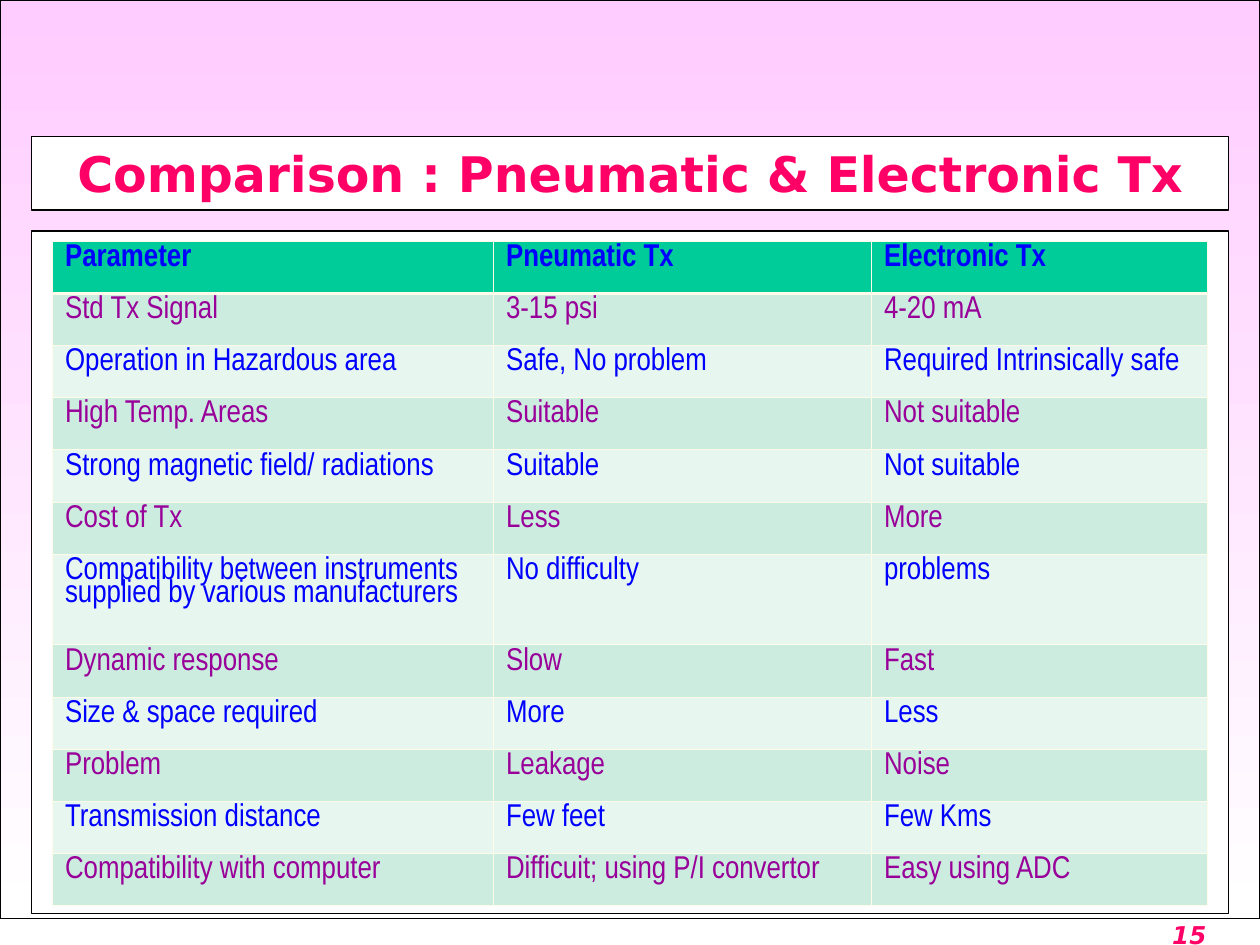
import pptx
import pptx.dml.color
import pptx.enum.shapes
import pptx.enum.text
import pptx.oxml.ns
import pptx.util
from lxml import etree

RGB = pptx.dml.color.RGBColor
WHITE, BLACK = RGB(255, 255, 255), RGB(0, 0, 0)
LILAC = RGB(0xFF, 0xCC, 0xFF)
PINK = RGB(0xFF, 0x00, 0x66)
BLUE = RGB(0x00, 0x00, 0xFF)
PURPLE = RGB(0x99, 0x00, 0x99)
GREEN = RGB(0x00, 0xCC, 0x99)
MINT = RGB(0xCB, 0xEC, 0xDE)
PALE = RGB(0xE7, 0xF6, 0xEF)
CREAM = RGB(0xFF, 0xFB, 0xEB)

# The slide is a grid of 120 columns by 90 rows
UNIT = pptx.util.Inches(10) // 120
COLS, ROWS = 120, 90
PAGE = (0, 0, COLS, 87.5)
TITLE = (3, 13, 114, 7)
PANEL = (3, 22, 114, 65)
NUMBER = (109.5, 86.4, 10.5, 4.8)

DATA = [
    ("Parameter", "Pneumatic Tx", "Electronic Tx"),
    ("Std Tx Signal", "3-15 psi", "4-20 mA"),
    ("Operation in Hazardous area", "Safe, No problem", "Required Intrinsically safe"),
    ("High Temp. Areas", "Suitable", "Not suitable"),
    ("Strong magnetic field/ radiations", "Suitable", "Not suitable"),
    ("Cost of Tx", "Less", "More"),
    ("Compatibility between instruments supplied by various manufacturers",
     "No difficulty", "problems"),
    ("Dynamic response", "Slow", "Fast"),
    ("Size & space required", "More", "Less"),
    ("Problem", "Leakage", "Noise"),
    ("Transmission distance", "Few feet", "Few Kms"),
    ("Compatibility with computer", "Difficuit; using P/I convertor", "Easy using ADC"),
]
WIDTHS = (42, 36, 32)
TALL, TALL_ROW = 8.65, 6


def grid(*box):
    return [round(n * UNIT) for n in box]


def style(font, color, **looks):
    for name, value in looks.items():
        setattr(font, name, value)
    font.color.rgb = color


def frame(slide, box):
    """White rectangle with a thin black outline."""
    shape = slide.shapes.add_shape(
        pptx.enum.shapes.MSO_SHAPE.RECTANGLE, *grid(*box))
    shape.shadow.inherit = False
    shape.fill.solid()
    shape.fill.fore_color.rgb = WHITE
    shape.line.color.rgb = BLACK
    shape.line.width = pptx.util.Pt(0.75)
    return shape


def backdrop(slide, box):
    fill = frame(slide, box).fill
    fill.gradient()
    fill.gradient_angle = 270
    for stop, color in zip(fill.gradient_stops, (LILAC, WHITE)):
        stop.color.rgb = color


def number(slide, box):
    text = slide.shapes.add_textbox(*grid(*box)).text_frame
    text.word_wrap = False
    for part, size, color, bold in ((" ", 18, BLACK, False), ("15", 14, PINK, True)):
        run = text.paragraphs[0].add_run()
        run.text = part
        style(run.font, color, name="DejaVu Sans", size=pptx.util.Pt(size),
              bold=bold, italic=True)


def title(slide, box):
    text = frame(slide, box).text_frame
    text.vertical_anchor = pptx.enum.text.MSO_ANCHOR.MIDDLE
    line = text.paragraphs[0]
    line.alignment = pptx.enum.text.PP_ALIGN.CENTER
    run = line.add_run()
    run.text = "Comparison : Pneumatic & Electronic Tx"
    style(run.font, PINK, name="DejaVu Sans", size=pptx.util.Pt(28), bold=True)


def border(cell, row):
    """Cream rules, thicker between the header and the body."""
    props = cell._tc.get_or_add_tcPr()
    qn = pptx.oxml.ns.qn
    for side in "LRTB":
        thick = (row, side) in ((0, "B"), (1, "T"))
        width = pptx.util.Pt(1.47 if thick else 0.45)
        line = etree.SubElement(props, qn("a:ln" + side), w=str(width))
        fill = etree.SubElement(line, qn("a:solidFill"))
        etree.SubElement(fill, qn("a:srgbClr"), val=str(CREAM))


def table(slide, box):
    left, top, wide, high = box
    inner = (left + 2, top + 1, wide - 4, high - 1.75)
    grid_table = slide.shapes.add_table(
        len(DATA), len(WIDTHS), *grid(*inner)).table
    for col, width in zip(grid_table.columns, WIDTHS):
        col.width = round(width * UNIT)
    short = (inner[3] - TALL) / (len(DATA) - 1)
    for r, words in enumerate(DATA):
        grid_table.rows[r].height = round((TALL if r == TALL_ROW else short) * UNIT)
        shade = GREEN if r == 0 else MINT if r % 2 else PALE
        for c, word in enumerate(words):
            cell = grid_table.cell(r, c)
            border(cell, r)
            cell.fill.solid()
            cell.fill.fore_color.rgb = shade
            line = cell.text_frame.paragraphs[0]
            line.line_spacing = 0.8
            run = line.add_run()
            run.text = word
            style(run.font, PURPLE if r % 2 else BLUE, name="Arial Narrow",
                  size=pptx.util.Pt(18), bold=r == 0)


def main():
    deck = pptx.Presentation()
    deck.slide_width, deck.slide_height = COLS * UNIT, ROWS * UNIT
    slide = deck.slides.add_slide(deck.slide_layouts[6])
    backdrop(slide, PAGE)
    number(slide, NUMBER)
    title(slide, TITLE)
    frame(slide, PANEL)
    table(slide, PANEL)
    deck.save("out.pptx")


if __name__ == "__main__":
    main()
